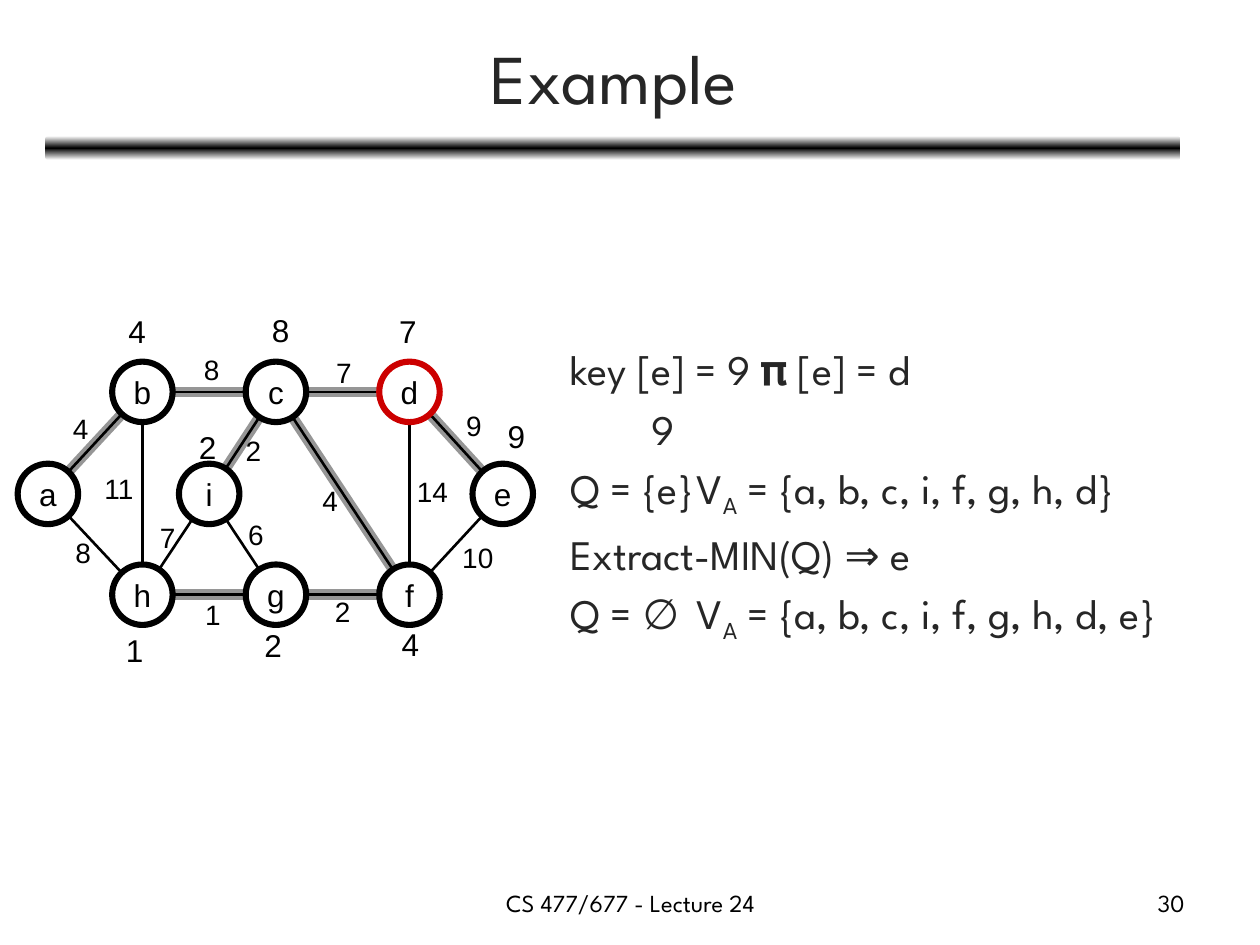
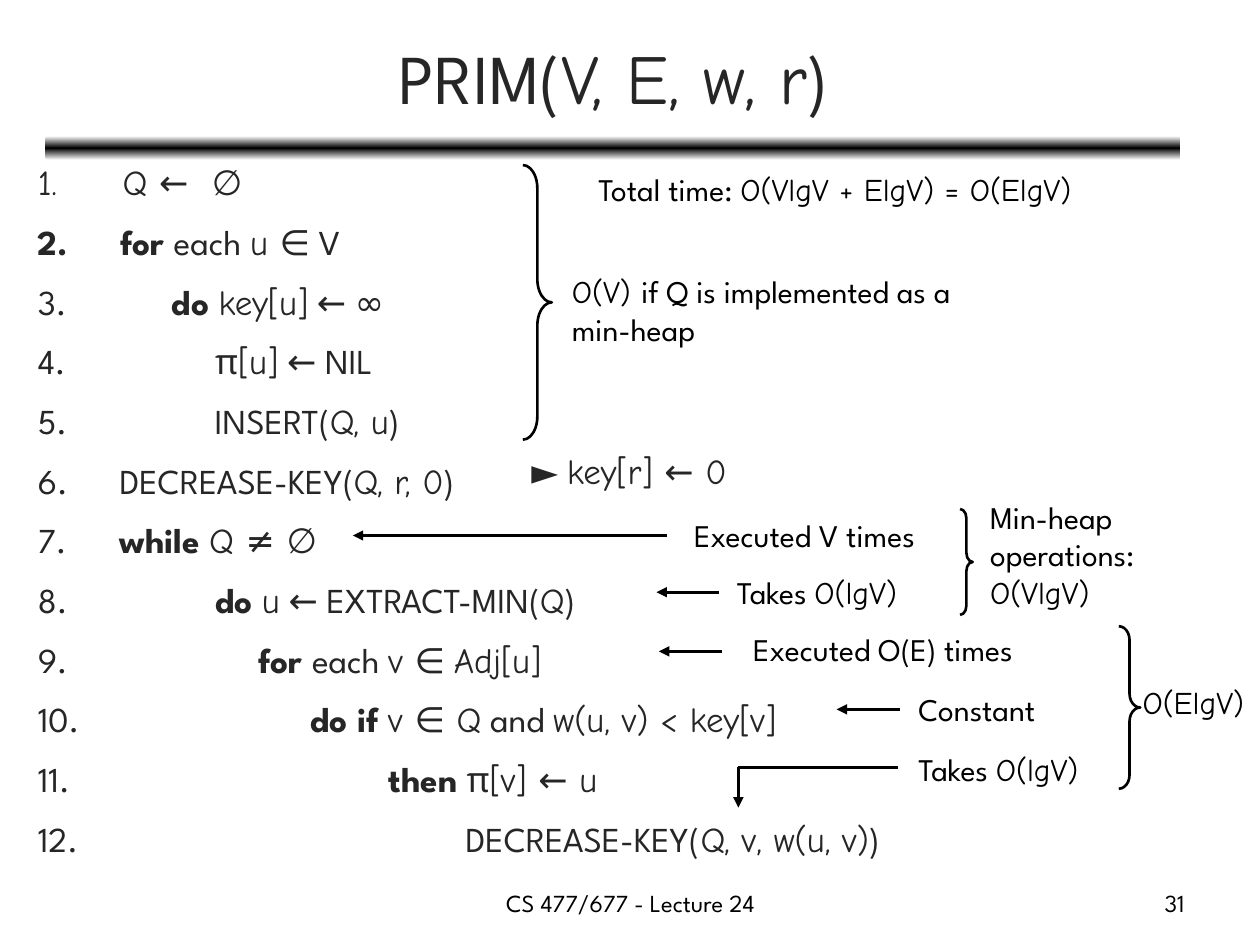
from math import hypot
from copy import deepcopy

from lxml import etree
from pptx import Presentation
from pptx.dml.color import RGBColor
from pptx.enum.shapes import MSO_CONNECTOR, MSO_SHAPE
from pptx.enum.text import MSO_ANCHOR, MSO_AUTO_SIZE, PP_ALIGN
from pptx.oxml.ns import qn
from pptx.util import Emu, Pt

STRAIGHT = MSO_CONNECTOR.STRAIGHT
OVAL, BAND, BRACE = MSO_SHAPE.OVAL, MSO_SHAPE.ROUNDED_RECTANGLE, MSO_SHAPE.RIGHT_BRACE
LEFT, CENTER, RIGHT = PP_ALIGN.LEFT, PP_ALIGN.CENTER, PP_ALIGN.RIGHT
MIDDLE = MSO_ANCHOR.MIDDLE
FIXED = MSO_AUTO_SIZE.NONE

EMU_PER_PX = 9144
BLACK, WHITE, INK, GRAY, RED = "000000", "FFFFFF", "262626", "969696", "CC0000"
SPARTAN, COMIC, ARIAL = "League Spartan", "Comic Neue", "Arial"
PLAIN, BOLD, MATH, SUB = "plain", "bold", "math", "sub"


def px(value):
    return Emu(round(value * EMU_PER_PX))


def color(value):
    return RGBColor.from_string(value)


def write(para, spans, size, ink, font=SPARTAN, align=LEFT):
    para.alignment = align
    para.font.size = Pt(size)
    para.font.color.rgb = color(ink)
    para.font.name = font
    for style, words in spans:
        span = para.add_run()
        span.text = words
        if style == MATH:
            span.font.name = COMIC
        elif style == BOLD:
            span.font.bold = True
        elif style == SUB:
            span.font._element.set("baseline", "-25000")


def add_text(page, box, paras, size, ink=BLACK, font=SPARTAN, align=LEFT, wrap=True):
    frame = page.shapes.add_textbox(*map(px, box)).text_frame
    frame.word_wrap = wrap
    for index, spans in enumerate(paras):
        para = frame.add_paragraph() if index else frame.paragraphs[0]
        write(para, spans, size, ink, font, align)


def add_line(page, start, end, ink=BLACK, width=1.5, arrow=False):
    line = page.shapes.add_connector(STRAIGHT, *map(px, (*start, *end)))
    line.line.color.rgb = color(ink)
    line.line.width = Pt(width)
    etree.SubElement(line._element.spPr, qn("a:effectLst"))
    if arrow:
        etree.SubElement(line.line._get_or_add_ln(), qn("a:tailEnd"), type="triangle")


def add_outline(page, kind, box, ink=BLACK, width=1.5):
    shape = page.shapes.add_shape(kind, *map(px, box))
    shape.shadow.inherit = False
    shape.fill.background()
    shape.line.color.rgb = color(ink)
    shape.line.width = Pt(width)
    return shape


def move(holder, box):
    holder.left, holder.top, holder.width, holder.height = map(px, box)


def draw_band(page, box):
    band = page.shapes.add_shape(BAND, *map(px, box))
    band.shadow.inherit = False
    band.line.fill.background()
    band.fill.gradient()
    band.fill.gradient_angle = 90
    stop_list = band._element.spPr.find(".//" + qn("a:gsLst"))
    stop_list.append(deepcopy(stop_list[0]))
    for stop, place, shade in zip(band.fill.gradient_stops, (0, 0.5, 1), (WHITE, BLACK, WHITE)):
        stop.position = place
        stop.color.rgb = color(shade)


def start_page(deck, title, number):
    page = deck.slides.add_slide(deck.slide_layouts[1])
    draw_band(page, (36, 108, 901, 19))
    move(page.shapes.title, (37, 11, 900, 99))
    frame = page.shapes.title.text_frame
    frame.auto_size = FIXED
    frame.vertical_anchor = MIDDLE
    write(frame.paragraphs[0], title, 40, INK, align=CENTER)
    add_text(page, (342, 700, 317, 35), [[(PLAIN, "CS 477/677 - Lecture 24")]], 14, align=CENTER)
    add_text(page, (717, 700, 233, 35), [[(PLAIN, number)]], 14, align=RIGHT)
    return page


def body_paras(page, box, count):
    holder = page.placeholders[1]
    move(holder, box)
    frame = holder.text_frame
    frame.auto_size = FIXED
    frame.word_wrap = True
    for _ in range(count - 1):
        frame.add_paragraph()
    return frame.paragraphs


def set_indent(para, margin, hanging=0):
    props = para._p.get_or_add_pPr()
    props.set("marL", str(px(margin)))
    props.set("indent", str(-px(hanging)))
    return props


NODES = {
    "a": (23, 152), "b": (98, 71), "c": (204, 71), "d": (310, 71), "e": (384, 152),
    "f": (310, 232), "g": (204, 232), "h": (98, 232), "i": (151, 152),
}
TREE_EDGES = [
    ("a", "b", "4", 33, 82), ("b", "c", "8", 137, 35), ("c", "d", "7", 242, 37),
    ("d", "e", "9", 345, 79), ("c", "i", "2", 170, 99), ("c", "f", "4", 231, 139),
    ("h", "g", "1", 138, 229), ("g", "f", "2", 241, 227),
]
OTHER_EDGES = [
    ("a", "h", "8", 35, 180), ("b", "h", "11", 58, 129), ("h", "i", "7", 102, 168),
    ("i", "g", "6", 172, 166), ("d", "f", "14", 306, 132), ("f", "e", "10", 342, 184),
]
KEYS = [
    ("4", 77, 3), ("8", 191, 2), ("7", 292, 3), ("9", 378, 86),
    ("4", 294, 251), ("2", 185, 252), ("1", 75, 256), ("2", 133, 95),
]


def draw_graph(page, left, top):
    def edge_ends(start, end, radius=23):
        (x1, y1), (x2, y2) = NODES[start], NODES[end]
        ratio = radius / hypot(x2 - x1, y2 - y1)
        dx, dy = (x2 - x1) * ratio, (y2 - y1) * ratio
        return (left + x1 + dx, top + y1 + dy), (left + x2 - dx, top + y2 - dy)

    def add_number(words, x, y, box, size):
        add_text(page, (left + x, top + y, *box), [[(PLAIN, words)]], size, font=ARIAL, wrap=False)

    for start, end, *_ in TREE_EDGES:
        add_line(page, *edge_ends(start, end), GRAY, 6)
    for start, end, weight, x, y in TREE_EDGES + OTHER_EDGES:
        add_line(page, *edge_ends(start, end))
        add_number(weight, x, y, (19 + 13 * len(weight), 37), 16)
    for name, (x, y) in NODES.items():
        ink = RED if name == "d" else BLACK
        node = add_outline(page, OVAL, (left + x - 24, top + y - 24, 48, 48), ink, 3.5)
        node.text_frame.word_wrap = False
        node.text_frame.vertical_anchor = MIDDLE
        write(node.text_frame.paragraphs[0], [(PLAIN, name)], 18, BLACK, ARIAL, CENTER)
    for key, x, y in KEYS:
        add_number(key, x, y, (34, 40), 18)


STEPS = [
    (0, 245, [(PLAIN, "key [e] = 9\t𝛑 [e] = d")]),
    (64, None, [(PLAIN, "9")]),
    (0, 113, [(PLAIN, "Q = {e}\tV"), (SUB, "A"), (PLAIN, " = {a, b, c, i, f, g, h, d}")]),
    (0, None, [(PLAIN, "Extract-MIN(Q) ⇒ e")]),
    (0, 102, [(PLAIN, "Q = ∅\tV"), (SUB, "A"), (PLAIN, " = {a, b, c, i, f, g, h, d, e}")]),
]


def draw_steps(page, box):
    paras = body_paras(page, box, len(STEPS))
    for index, (para, (margin, stop, spans)) in enumerate(zip(paras, STEPS)):
        props = set_indent(para, margin)
        etree.SubElement(props, qn("a:buNone"))
        if stop:
            tabs = etree.SubElement(props, qn("a:tabLst"))
            etree.SubElement(tabs, qn("a:tab"), pos=str(px(stop)), algn="l")
        para.space_before = Pt(5 if index else 0)
        write(para, spans, 24, INK)


CODE = [
    [(MATH, " Q ←  ∅")],
    [(BOLD, " for "), (PLAIN, "each "), (MATH, "u "), (PLAIN, "∈ V")],
    [(PLAIN, "       "), (BOLD, "do "), (MATH, "key[u]"), (PLAIN, " ← ∞")],
    [(PLAIN, "            "), (MATH, "π[u]"), (PLAIN, " ← NIL")],
    [(PLAIN, "            INSERT("), (MATH, "Q, u"), (PLAIN, ")")],
    [(PLAIN, " DECREASE-KEY("), (MATH, "Q, r, 0"), (PLAIN, ")")],
    [(PLAIN, " "), (BOLD, "while "), (MATH, "Q ≠ ∅")],
    [(PLAIN, "            "), (BOLD, "do "), (MATH, "u"), (PLAIN, " ← EXTRACT-MIN("),
     (MATH, "Q"), (PLAIN, ")")],
    [(PLAIN, "                 "), (BOLD, "for "), (PLAIN, "each "), (MATH, "v "),
     (PLAIN, "∈ "), (MATH, "Adj[u]")],
    [(PLAIN, "                       "), (BOLD, "do if "), (MATH, "v ∈ Q"), (PLAIN, " and "),
     (MATH, "w(u, v) < key[v]")],
    [(PLAIN, "                                "), (BOLD, "then "), (MATH, "π[v] ← u")],
    [(PLAIN, "                                         DECREASE-KEY("),
     (MATH, "Q, v, w(u, v)"), (PLAIN, ")")],
]


def draw_code(page, box):
    for index, (para, spans) in enumerate(zip(body_paras(page, box, len(CODE)), CODE)):
        props = set_indent(para, 58, 58)
        etree.SubElement(props, qn("a:buFontTx"))
        etree.SubElement(props, qn("a:buAutoNum"), type="arabicPeriod")
        para.line_spacing = 1.2
        para.space_before = Pt(5.3 if index else 0)
        write(para, spans, 20, INK)


TAKES_LOG = [[(PLAIN, "Takes "), (MATH, "O(lgV)")]]
NOTES = [
    (265, 30, 474, [[(PLAIN, "Total time: "), (MATH, "O(VlgV + ElgV) = O(ElgV)")]]),
    (244, 111, 369, [[(MATH, "O(V) "), (PLAIN, "if Q is implemented as a min-heap")]]),
    (341, 305, 235, [[(PLAIN, "Executed V times")]]),
    (375, 350, 193, TAKES_LOG),
    (576, 290, 180, [[(PLAIN, "Min-heap operations:")], [(MATH, "O(VlgV)")]]),
    (388, 395, 276, [[(PLAIN, "Executed O(E) times")]]),
    (519, 443, 139, [[(PLAIN, "Constant")]]),
    (519, 490, 173, TAKES_LOG),
]
BRACES = [(215, 31, 23, 218, 0.805), (562, 304, 10, 84, 0.723), (688, 397, 17, 129, 0.644)]
ARROWS = [
    ((329, 325), (80, 325)), ((371, 370), (321, 370)), ((373, 417), (323, 417)),
    ((514, 463), (464, 463)), ((386, 509), (386, 541)),
]


def draw_notes(page, left, top):
    def shift(point):
        return left + point[0], top + point[1]

    for x, y, width, paras in NOTES:
        add_text(page, (*shift((x, y)), width, 40), paras, 18)
    add_text(page, (*shift((697, 437)), 103, 40), [[(MATH, "O(ElgV)")]], 18, wrap=False)
    add_text(page, (*shift((212, 252)), 250, 40), [[(PLAIN, "► "), (MATH, "key[r] ← 0")]], 20, INK)
    for x, y, width, height, curl in BRACES:
        brace = add_outline(page, BRACE, (*shift((x, y)), width, height))
        brace.adjustments[0] = curl
    for start, end in ARROWS:
        add_line(page, shift(start), shift(end), arrow=True)
    add_line(page, shift((386, 509)), shift((513, 509)))


def main():
    deck = Presentation()
    deck.slide_width, deck.slide_height = px(1000), px(750)

    page = start_page(deck, [(PLAIN, "Example")], "30")
    draw_graph(page, 15, 240)
    draw_steps(page, (443, 268, 557, 268))

    page = start_page(deck, [(PLAIN, "PRIM("), (MATH, "V, E, w, r"), (PLAIN, ")")], "31")
    draw_code(page, (20, 116, 927, 612))
    draw_notes(page, 200, 100)

    deck.save("out.pptx")


if __name__ == "__main__":
    main()
